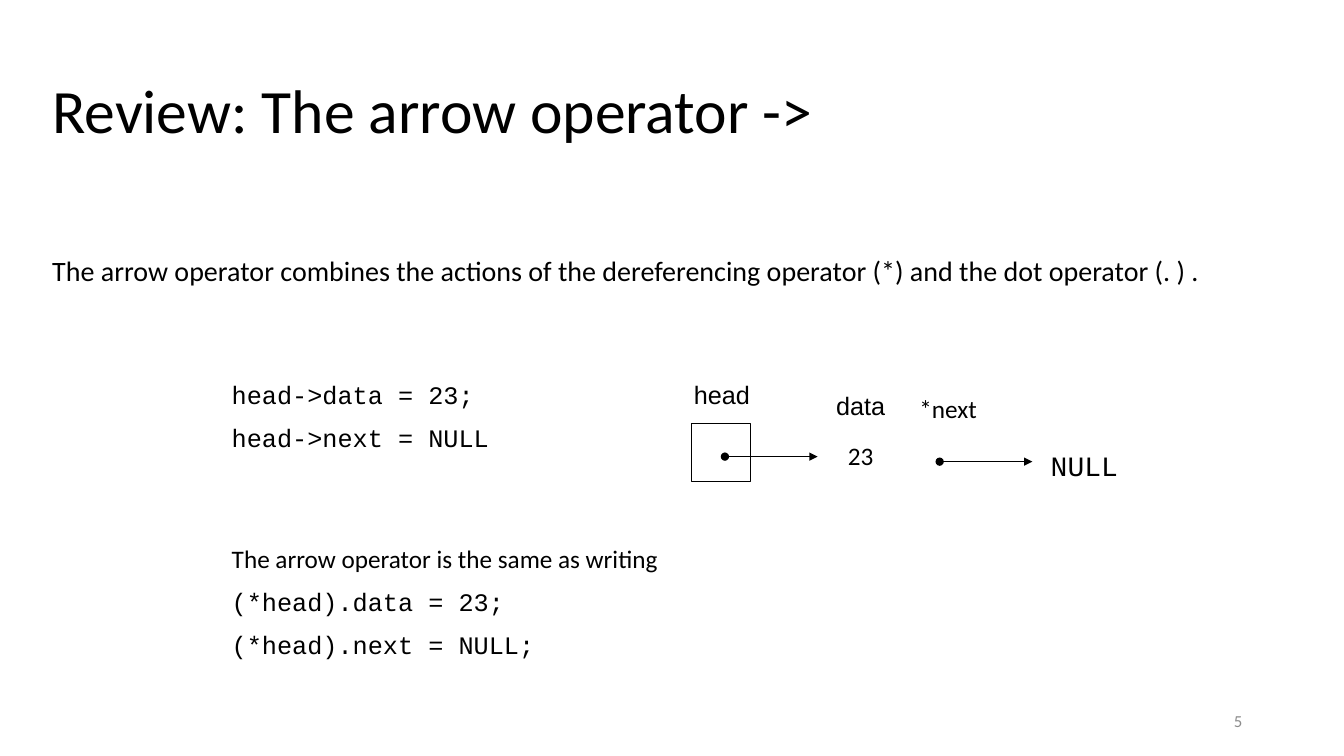
from lxml import etree
from pptx import Presentation
from pptx.dml.color import RGBColor
from pptx.enum.shapes import MSO_CONNECTOR, MSO_SHAPE
from pptx.enum.text import MSO_ANCHOR, PP_ALIGN
from pptx.oxml.ns import qn
from pptx.util import Inches, Pt

BLACK = RGBColor(0, 0, 0)
GRAY = RGBColor(0x8C, 0x8C, 0x8C)
LEFT, CENTER, RIGHT = PP_ALIGN.LEFT, PP_ALIGN.CENTER, PP_ALIGN.RIGHT
TOP, MIDDLE = MSO_ANCHOR.TOP, MSO_ANCHOR.MIDDLE
RECT, STRAIGHT = MSO_SHAPE.RECTANGLE, MSO_CONNECTOR.STRAIGHT
SANS, ARIAL, MONO = "Calibri", "Arial", "Courier New"


def add_text(slide, box, lines, size=18, color=BLACK, align=LEFT,
             anchor=TOP, pitch=1.0, gap=0, wrap=True):
    """Place (text, font) lines in a box of left, top, width, height."""
    frame = slide.shapes.add_textbox(*map(Inches, box)).text_frame
    frame.word_wrap = wrap
    frame.vertical_anchor = anchor
    for i, (text, font) in enumerate(lines):
        para = frame.paragraphs[0] if i == 0 else frame.add_paragraph()
        para.text = text
        para.alignment = align
        para.line_spacing = pitch
        if i:
            para.space_before = Pt(gap)
        for run in para.runs:
            run.font.name = font
            run.font.size = Pt(size)
            run.font.color.rgb = color


def add_arrow(slide, left, top, width):
    """Draw a pointer: a dot at its start and an arrowhead at its end."""
    arrow = slide.shapes.add_connector(
        STRAIGHT, Inches(left), Inches(top), Inches(left + width), Inches(top))
    arrow.line.color.rgb = BLACK
    arrow.line.width = Pt(0.75)
    line = arrow.line._get_or_add_ln()
    etree.SubElement(line, qn("a:headEnd"), type="oval")
    etree.SubElement(line, qn("a:tailEnd"), type="triangle")
    etree.SubElement(arrow._element.spPr, qn("a:effectLst"))


def add_header(slide, left, top, width):
    # Title and opening statement
    add_text(slide, (left, top, width, 1.45),
             [("Review: The arrow operator ->", SANS)],
             size=44, anchor=MIDDLE, pitch=0.9)
    add_text(slide, (left, top + 2.1, width, 0.45),
             [("The arrow operator combines the actions of the dereferencing "
               "operator (*) and the dot operator (. ) .", SANS)],
             size=20, pitch=0.9)


def add_code(slide, left, top, width):
    # Arrow form, then the same with dereference and dot
    arrow_form = [("head->data = 23;", MONO), ("head->next = NULL", MONO)]
    dot_form = [("The arrow operator is the same as writing", SANS),
                ("(*head).data = 23;", MONO),
                ("(*head).next = NULL;", MONO)]
    add_text(slide, (left, top, width, 0.8), arrow_form, pitch=0.9, gap=11.3)
    add_text(slide, (left, top + 1.62, width, 1.25), dot_form,
             pitch=0.9, gap=11.3)


def add_list(slide, left, top):
    # Head pointer
    cell = slide.shapes.add_shape(RECT, Inches(left + 0.08), Inches(top + 0.43),
                                  Inches(0.58), Inches(0.58))
    cell.shadow.inherit = False
    cell.fill.background()
    cell.line.color.rgb = BLACK
    cell.line.width = Pt(0.75)
    add_arrow(slide, left + 0.41, top + 0.76, 0.92)
    # Node fields and their values
    add_text(slide, (left + 1.53, top + 0.55, 0.72, 0.4), [("23", SANS)])
    add_text(slide, (left + 2.24, top + 0.08, 1.01, 0.4), [("*next", SANS)])
    add_arrow(slide, left + 2.54, top + 0.81, 0.92)
    # Centred labels
    for x, y, width, text in ((0, 0, 0.76, "head"), (1.41, 0.11, 0.69, "data")):
        add_text(slide, (left + x, top + y, width, 0.34), [(text, ARIAL)],
                 align=CENTER, pitch=0.8, wrap=False)
    add_text(slide, (left + 3.54, top + 0.56, 0.87, 0.5), [("NULL", MONO)],
             size=20, align=CENTER, pitch=1.2, wrap=False)


def add_number(slide, left, top):
    add_text(slide, (left, top, 3, 0.4), [("5", SANS)], size=12,
             color=GRAY, align=RIGHT, anchor=MIDDLE)


def main():
    deck = Presentation()
    deck.slide_width, deck.slide_height = Inches(13.33), Inches(7.5)
    slide = deck.slides.add_slide(deck.slide_layouts[6])
    add_header(slide, 0.42, 0.4, 12.5)
    add_code(slide, 2.2, 3.75, 4.55)
    add_list(slide, 6.78, 3.77)
    add_number(slide, 9.42, 6.95)
    deck.save("out.pptx")


if __name__ == "__main__":
    main()
